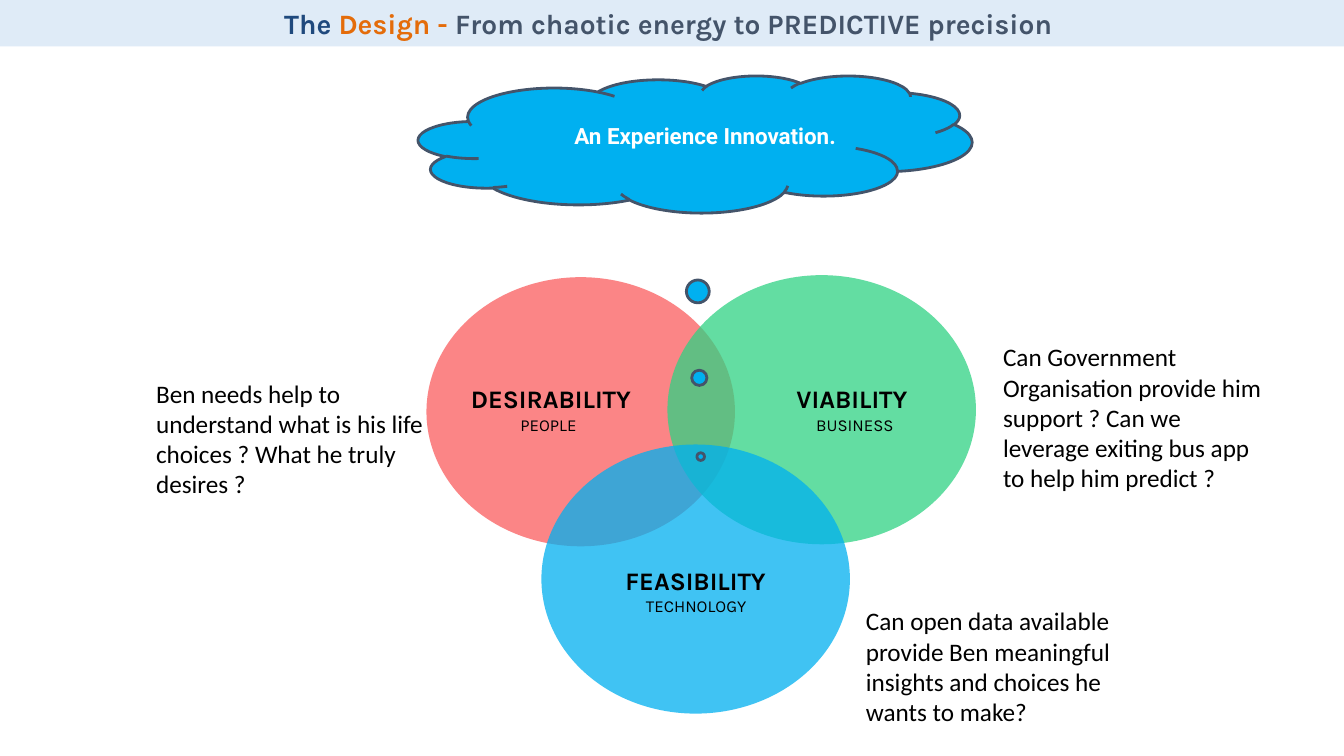
"""Build a slide with a Venn diagram of desirability, viability and feasibility."""
from pptx import Presentation
from pptx.dml.color import RGBColor
from pptx.enum import shapes, text
from pptx.oxml import parse_xml
from pptx.oxml.ns import nsdecls
from pptx.util import Inches, Pt

BLACK = RGBColor(0x00, 0x00, 0x00)
WHITE = RGBColor(0xFF, 0xFF, 0xFF)
NAVY = RGBColor(0x1F, 0x49, 0x7D)
ORANGE = RGBColor(0xE4, 0x6C, 0x0A)
SLATE = RGBColor(0x44, 0x54, 0x6A)
PALE_BLUE = RGBColor(0xDE, 0xEB, 0xF7)
RED = RGBColor(0xFA, 0x5D, 0x5E)
GREEN = RGBColor(0x2F, 0xD2, 0x83)
BLUE = RGBColor(0x00, 0xB0, 0xF0)

TITLE = [
    ("The ", NAVY),
    ("Design - ", ORANGE),
    ("From chaotic energy to PREDICTIVE precision ", SLATE),
]
CIRCLE_SIZE = (3.06, 2.67)
CIRCLES = [(4.23, 2.75, RED), (6.62, 2.73, GREEN), (5.37, 4.41, BLUE)]
LABELS = [
    ("DESIRABILITY", (4.23, 3.75, 2.47, 0.4), "PEOPLE", (4.64, 4.07, 1.6, 0.3)),
    ("VIABILITY", (7.35, 3.75, 2.2, 0.4), "BUSINESS", (7.68, 4.07, 1.6, 0.3)),
    ("FEASIBILITY", (5.8, 5.56, 2.2, 0.4), "TECHNOLOGY", (5.99, 5.86, 1.83, 0.3)),
]
CLOUD_BOX = (4.15, 0.75, 5.49, 1.36)
CLOUD_TAIL = (0.01, 2.28)
CLOUD_TEXT = "An Experience Innovation."
NOTE_WIDTH = 2.87
NOTES = [
    ("Can open data available provide Ben meaningful insights and choices he wants to make?",
     8.49, 5.96, 1.31),
    ("Ben needs help to understand what is his life choices ? What he truly desires ?",
     1.45, 3.7, 1.31),
    ("Can Government Organisation provide him support ? Can we leverage exiting bus app "
     "to help him predict ?", 9.85, 3.34, 1.62),
]


def add_filled_shape(slide, kind, box, color, opacity=100):
    shape = slide.shapes.add_shape(kind, *map(Inches, box))
    shape.shadow.inherit = False
    shape.fill.solid()
    shape.fill.fore_color.rgb = color
    shape.line.fill.background()
    if opacity < 100:
        alpha = parse_xml(f'<a:alpha {nsdecls("a")} val="{opacity * 1000}"/>')
        shape.fill._xPr.solidFill.srgbClr.append(alpha)
    return shape


def write_text(shape, runs, *, size, font="Karla", bold=False,
               align=text.PP_ALIGN.CENTER):
    shape.text_frame.word_wrap = True
    paragraph = shape.text_frame.paragraphs[0]
    paragraph.alignment = align
    for words, color in runs:
        run = paragraph.add_run()
        run.text = words
        run.font.name = font
        run.font.size = Pt(size)
        run.font.bold = bold
        run.font.color.rgb = color


def add_text_box(slide, words, box, *, color=BLACK, **style):
    text_box = slide.shapes.add_textbox(*map(Inches, box))
    text_box.text_frame.auto_size = text.MSO_AUTO_SIZE.SHAPE_TO_FIT_TEXT
    write_text(text_box, [(words, color)], **style)


def main():
    presentation = Presentation()
    presentation.slide_width = Inches(13.33)
    presentation.slide_height = Inches(7.5)
    slide = presentation.slides.add_slide(presentation.slide_layouts[6])
    kinds = shapes.MSO_SHAPE

    banner = add_filled_shape(slide, kinds.RECTANGLE, (0, 0, 13.33, 0.46), PALE_BLUE, 96)
    banner.text_frame.vertical_anchor = text.MSO_ANCHOR.MIDDLE
    write_text(banner, TITLE, size=20, bold=True)

    for left, top, color in CIRCLES:
        add_filled_shape(slide, kinds.OVAL, (left, top, *CIRCLE_SIZE), color, 75)
    for heading, heading_box, subject, subject_box in LABELS:
        add_text_box(slide, heading, heading_box, size=18, bold=True)
        add_text_box(slide, subject, subject_box, size=12)

    cloud = add_filled_shape(slide, kinds.CLOUD_CALLOUT, CLOUD_BOX, BLUE)
    cloud.line.color.rgb = SLATE
    cloud.line.width = Pt(2)
    for index, offset in enumerate(CLOUD_TAIL):
        cloud.adjustments[index] = offset
    add_text_box(slide, CLOUD_TEXT, (4.58, 1.16, 4.83, 0.37), color=WHITE,
                 size=16, font="Roboto", bold=True)

    for words, left, top, height in NOTES:
        add_text_box(slide, words, (left, top, NOTE_WIDTH, height), size=18,
                     font="Calibri", align=text.PP_ALIGN.LEFT)

    presentation.save("out.pptx")


if __name__ == "__main__":
    main()
